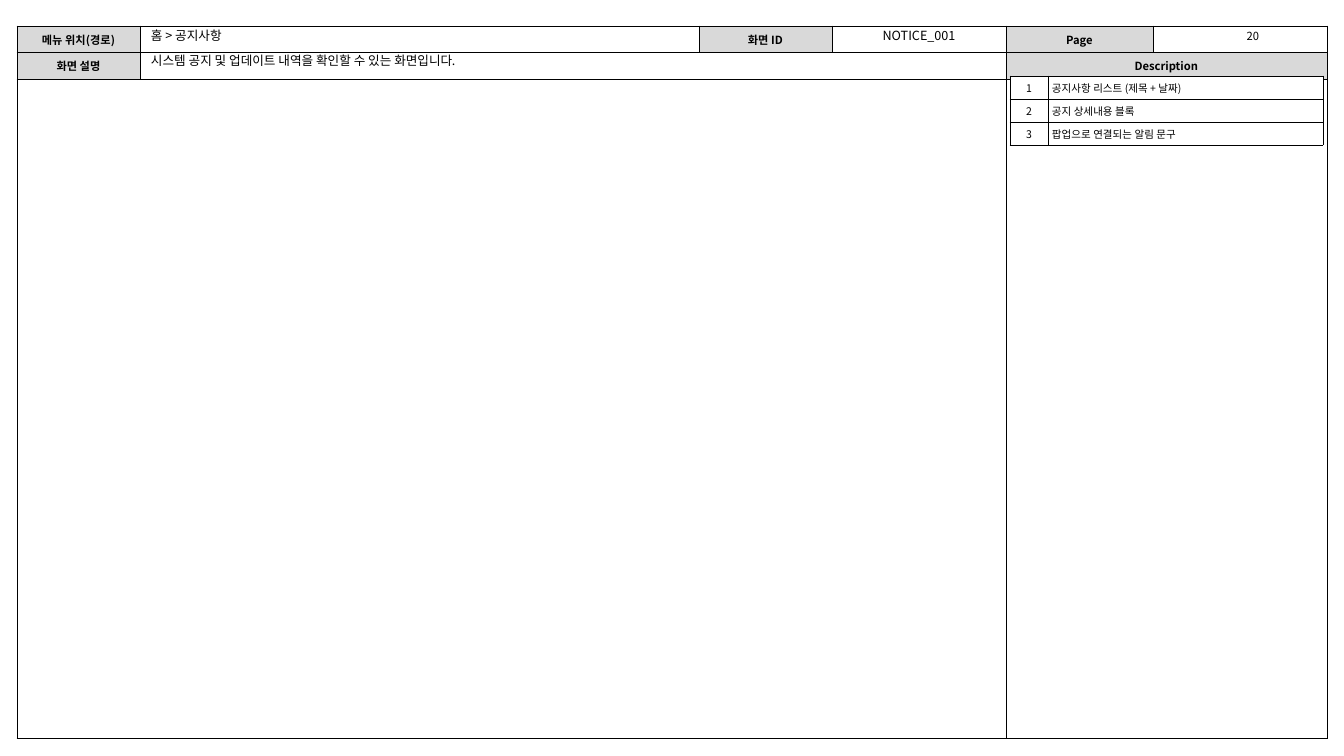
"""Build the notice screen specification page."""
from lxml import etree
from pptx import Presentation
from pptx import util as u
from pptx.dml.color import RGBColor
from pptx.enum import text
from pptx.oxml import ns

EMU_PER_PX = 914400 / 100.8
FONT = "Noto Sans CJK KR"
COLORS = {"ink": "000000", "label": "D9D9D9", "paper": "FFFFFF"}
CENTER, LEFT = text.PP_ALIGN.CENTER, text.PP_ALIGN.LEFT


def px(length):
    """Turn pixels into EMU."""
    return u.Emu(round(length * EMU_PER_PX))


def write(frame, words, size, align=LEFT, bold=False):
    """Write one styled paragraph into a text frame."""
    para = frame.paragraphs[0]
    if words:
        para.add_run().text = words
    para.alignment = align
    font = para.font
    font.size, font.bold, font.name = u.Pt(size), bold, FONT
    font.color.rgb = RGBColor.from_string(COLORS["ink"])
    etree.SubElement(font._rPr, ns.qn("a:ea")).set("typeface", FONT)
    if not words:
        para._p.get_or_add_endParaRPr().set("sz", str(round(size * 100)))
    return para


def outline(cell):
    """Draw a half-point border on all four sides of a cell."""
    properties = cell._tc.get_or_add_tcPr()
    for index, side in enumerate(("lnL", "lnR", "lnT", "lnB")):
        line = etree.Element(ns.qn(f"a:{side}"), w=str(u.Pt(0.5)))
        fill = etree.SubElement(line, ns.qn("a:solidFill"))
        etree.SubElement(fill, ns.qn("a:srgbClr")).set("val", COLORS["ink"])
        properties.insert(index, line)


def fill_cell(cell, words, size, inset, color="paper", align=LEFT, bold=False):
    """Give a cell its text, margins, fill and border."""
    side, edge = inset
    cell.margin_left = cell.margin_right = px(side)
    cell.margin_top = cell.margin_bottom = px(edge)
    cell.vertical_anchor = text.MSO_ANCHOR.MIDDLE
    cell.fill.solid()
    cell.fill.fore_color.rgb = RGBColor.from_string(COLORS[color])
    write(cell.text_frame, words, size, align, bold)
    outline(cell)


def add_grid(page, left, top, widths, heights):
    """Add a plain table with the given column widths and row heights."""
    frame = page.shapes.add_table(len(heights), len(widths), px(left), px(top),
                                  px(sum(widths)), px(sum(heights)))
    grid = frame.table
    grid.first_row = grid.horz_banding = False
    for column, width in zip(grid.columns, widths):
        column.width = px(width)
    for row, height in zip(grid.rows, heights):
        row.height = px(height)
    return grid


def add_layout_table(page):
    """Add the page frame with its grey label cells."""
    grid = add_grid(page, 17, 26, (123, 559, 133, 174, 147, 174), (26, 27, 659))
    labels = {(0, 0): "메뉴 위치(경로)", (0, 2): "화면 ID", (0, 4): "Page",
              (1, 0): "화면 설명", (1, 4): "Description"}
    for row in range(3):
        for column in range(6):
            words = labels.get((row, column), "")
            fill_cell(grid.cell(row, column), words, 8, (10, 5),
                      "label" if words else "paper", CENTER, bool(words))
    for row, first, last in ((1, 1, 3), (1, 4, 5), (2, 0, 3), (2, 4, 5)):
        grid.cell(row, first).merge(grid.cell(row, last))


def add_description_table(page, notes):
    """Add the numbered list of screen notes."""
    grid = add_grid(page, 1010, 76, (38, 275), [23] * len(notes))
    for index, note in enumerate(notes):
        fill_cell(grid.cell(index, 0), str(index + 1), 7.5, (4, 4), align=CENTER)
        fill_cell(grid.cell(index, 1), note, 7.5, (4, 4))


def add_value(page, words, left, top, width, size=9, align=LEFT, inset=10, spacing=0.9):
    """Add a value text box over the page frame."""
    box = page.shapes.add_textbox(px(left), px(top), px(width), px(23))
    frame = box.text_frame
    frame.word_wrap = True
    frame.vertical_anchor = text.MSO_ANCHOR.MIDDLE
    frame.margin_left = frame.margin_right = px(inset)
    frame.margin_top = frame.margin_bottom = 0
    write(frame, words, size, align).line_spacing = spacing


def main():
    """Build and save the deck."""
    deck = Presentation()
    deck.slide_width, deck.slide_height = px(1344), px(756)
    page = deck.slides.add_slide(deck.slide_layouts[6])
    add_layout_table(page)
    add_value(page, "20", 1179, 25, 148, size=8, align=CENTER, inset=0, spacing=1.0)
    add_value(page, "홈 > 공지사항", 141, 25, 555)
    add_value(page, "시스템 공지 및 업데이트 내역을 확인할 수 있는 화면입니다.", 141, 50, 862)
    add_description_table(page, ("공지사항 리스트 (제목 + 날짜)", "공지 상세내용 블록",
                                 "팝업으로 연결되는 알림 문구"))
    add_value(page, "NOTICE_001", 835, 25, 168, align=CENTER)
    deck.save("out.pptx")


if __name__ == "__main__":
    main()
